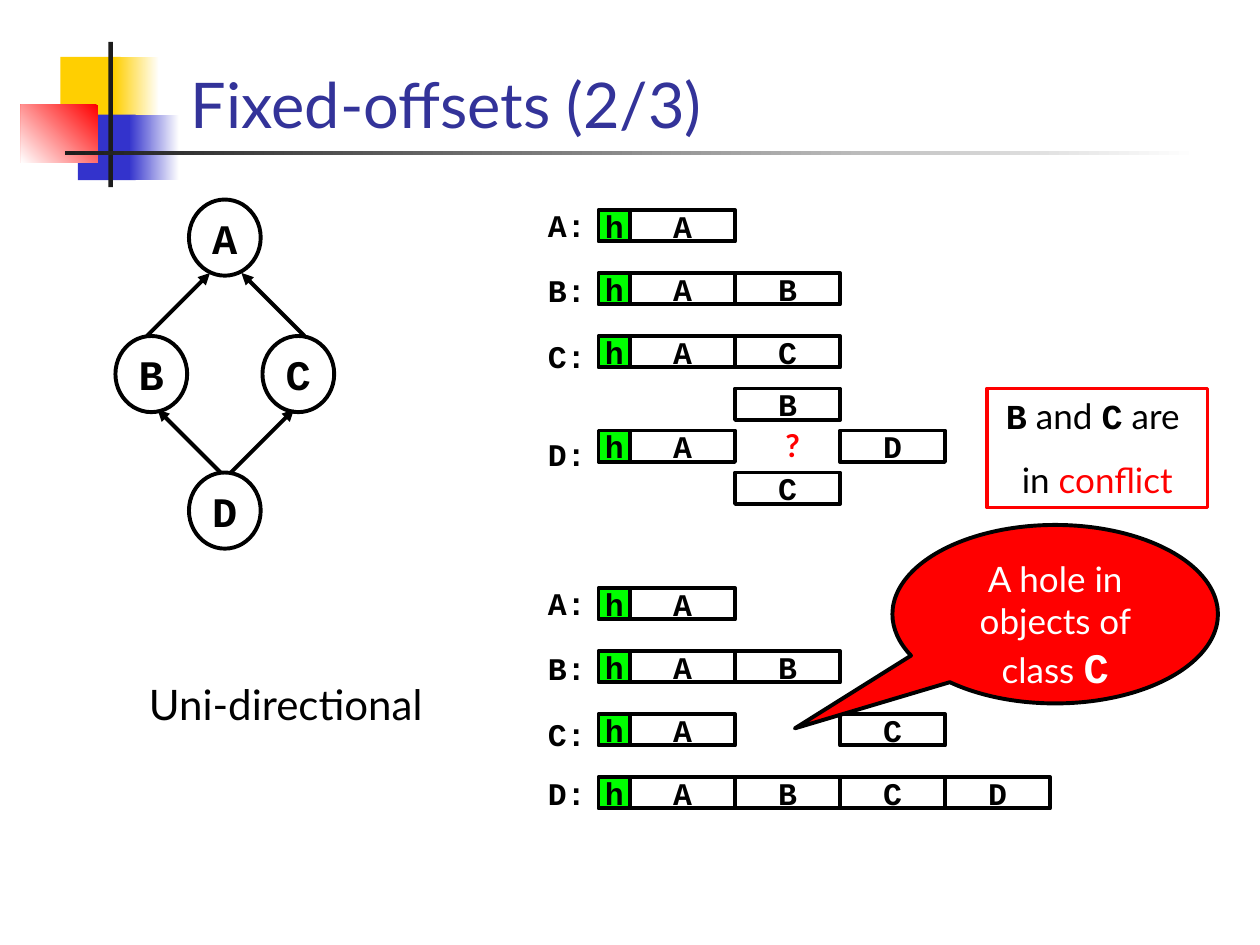
from lxml.etree import SubElement
from pptx import Presentation
from pptx.dml.color import RGBColor
from pptx.enum.shapes import MSO_CONNECTOR, MSO_SHAPE as SHAPE
from pptx.enum.text import MSO_ANCHOR as ANCHOR, PP_ALIGN as ALIGN
from pptx.oxml.ns import qn
from pptx.util import Pt

BLACK = RGBColor(0x00, 0x00, 0x00)
CHARCOAL = RGBColor(0x1C, 0x1C, 0x1C)
WHITE = RGBColor(0xFF, 0xFF, 0xFF)
RED = RGBColor(0xFF, 0x00, 0x00)
GREEN = RGBColor(0x00, 0xFF, 0x00)
YELLOW = RGBColor(0xFF, 0xCF, 0x01)
BLUE = RGBColor(0x33, 0x33, 0xCC)
INDIGO = RGBColor(0x33, 0x33, 0x99)
SANS, MONO = "Lato", "Courier New"
LINE_WIDTH = 2.25


def add_box(kind, x, y, w, h, fill=None, line=None):
    """Add a preset shape; a tuple as fill is (start, end, angle)."""
    sp = slide.shapes.add_shape(kind, Pt(x), Pt(y), Pt(w), Pt(h))
    sp.shadow.inherit = False
    if fill is None:
        sp.fill.background()
    elif isinstance(fill, RGBColor):
        sp.fill.solid()
        sp.fill.fore_color.rgb = fill
    else:
        sp.fill.gradient()
        sp.fill.gradient_angle = fill[2]
        for stop, color in zip(sp.fill.gradient_stops, fill):
            stop.color.rgb = color
    if line is None:
        sp.line.fill.background()
    else:
        sp.line.color.rgb = line
        sp.line.width = Pt(LINE_WIDTH)
    return sp


def add_text(sp, paragraphs, align=ALIGN.CENTER, anchor=ANCHOR.TOP, tight=False):
    """Fill sp with (space before, runs) paragraphs; tight drops margins and wrapping."""
    tf = sp.text_frame
    frame = {"word_wrap": not tight, "vertical_anchor": anchor}
    if tight:
        frame |= {f"margin_{side}": 0 for side in ("left", "top", "right", "bottom")}
    for name, value in frame.items():
        setattr(tf, name, value)
    for i, (before, runs) in enumerate(paragraphs):
        p = tf.add_paragraph() if i else tf.paragraphs[0]
        p.alignment = align
        if before:
            p.space_before = Pt(before)
        for text, font, size, color in runs:
            r = p.add_run()
            r.text = text
            style = {"name": font, "size": Pt(size), "bold": font == MONO or text == "?"}
            for name, value in style.items():
                setattr(r.font, name, value)
            r.font.color.rgb = color


prs = Presentation()
prs.slide_width, prs.slide_height = Pt(720), Pt(540)
slide = prs.slides.add_slide(prs.slide_layouts[6])

# Corner ornament and title rule
for x, y, w, h, fill in [
    (34.5, 32.5, 34.5, 37.5, YELLOW),
    (65, 32.5, 26, 37.5, (WHITE, YELLOW, 180)),
    (44.5, 65.5, 33, 37.5, BLUE),
    (73.5, 65.5, 29, 37.5, (WHITE, BLUE, 180)),
    (12, 60, 44, 33, (RED, WHITE, 225)),
    (62, 24, 2.5, 83, CHARCOAL),
    (37, 86.5, 648, 2.25, (WHITE, CHARCOAL, 180)),
]:
    add_box(SHAPE.RECTANGLE, x, y, w, h, fill)

# Plain text boxes
for x, y, w, h, text, size, color, align, anchor in [
    (102, 24, 594, 60, "Fixed-offsets (2/3)", 36, INDIGO, ALIGN.LEFT, ANCHOR.BOTTOM),
    (78, 384, 198, 36, "Uni-directional", 24, BLACK, ALIGN.LEFT, ANCHOR.TOP),
    (438, 240, 30, 29, "?", 18, RED, ALIGN.CENTER, ANCHOR.TOP),
]:
    sp = slide.shapes.add_textbox(Pt(x), Pt(y), Pt(w), Pt(h))
    add_text(sp, [(0, [(text, SANS, size, color)])], align, anchor)

# Inheritance diamond
for name, x, y in [("A", 108, 114), ("B", 66, 192), ("C", 150, 192), ("D", 108, 270)]:
    sp = add_box(SHAPE.OVAL, x, y, 41, 43.5, line=BLACK)
    add_text(sp, [(0, [(name, MONO, 24, BLACK)])], anchor=ANCHOR.MIDDLE, tight=True)

ARROW_SPAN = 36
for x, y, direction in [(126, 270, -1), (132, 270, 1), (84, 192, 1), (174, 192, -1)]:
    arrow = slide.shapes.add_connector(
        MSO_CONNECTOR.STRAIGHT, Pt(x), Pt(y),
        Pt(x + direction * ARROW_SPAN), Pt(y - ARROW_SPAN))
    arrow.line.color.rgb = BLACK
    arrow.line.width = Pt(LINE_WIDTH)
    SubElement(arrow.line._get_or_add_ln(), qn("a:tailEnd"), type="triangle")
    SubElement(arrow._element.spPr, qn("a:effectLst"))

# Object layouts: a header cell, then one letter per column; a space leaves a hole
CELL_W, CELL_H, HEADER_W, FIELDS_X = 60, 18, 18, 360
for y, fields in [
    (120, "hA"), (156, "hAB"), (192, "hAC"),
    (222, "  B"), (246, "hA D"), (270, "  C"),
    (336, "hA"), (372, "hAB"), (408, "hA C"), (444, "hABCD"),
]:
    for col, name in enumerate(fields):
        if name == " ":
            continue
        if name == "h":
            x, w, fill = FIELDS_X - HEADER_W, HEADER_W, GREEN
        else:
            x, w, fill = FIELDS_X + (col - 1) * CELL_W, CELL_W, None
        sp = add_box(SHAPE.RECTANGLE, x, y, w, CELL_H, fill, BLACK)
        add_text(sp, [(0, [(name, MONO, 18, BLACK)])], anchor=ANCHOR.MIDDLE, tight=True)

# Class labels beside the layouts
for y, h, gaps in [(114, 157, (0, 16, 16, 34.5)), (330, 135, (0, 16, 16, 12))]:
    sp = slide.shapes.add_textbox(Pt(306), Pt(y), Pt(36), Pt(h))
    add_text(sp, [(gap, [(f"{name}:", MONO, 18, BLACK)]) for gap, name in zip(gaps, "ABCD")],
             ALIGN.LEFT)

# Remarks
conflict = add_box(SHAPE.RECTANGLE, 564, 222, 126, 68, line=RED)
add_text(conflict, [
    (0, [("B", MONO, 20, BLACK), (" and ", SANS, 20, BLACK),
         ("C", MONO, 20, BLACK), (" are ", SANS, 20, BLACK)]),
    (12.5, [("in ", SANS, 20, BLACK), ("conflict", SANS, 20, RED)]),
])

callout = add_box(SHAPE.OVAL_CALLOUT, 510, 300, 186, 102, RED, BLACK)
callout.adjustments[0] = -0.8
callout.adjustments[1] = 0.64
add_text(callout, [(0, [("A hole in objects of class ", SANS, 20, WHITE),
                        ("C", MONO, 24, WHITE)])])

prs.save("out.pptx")
